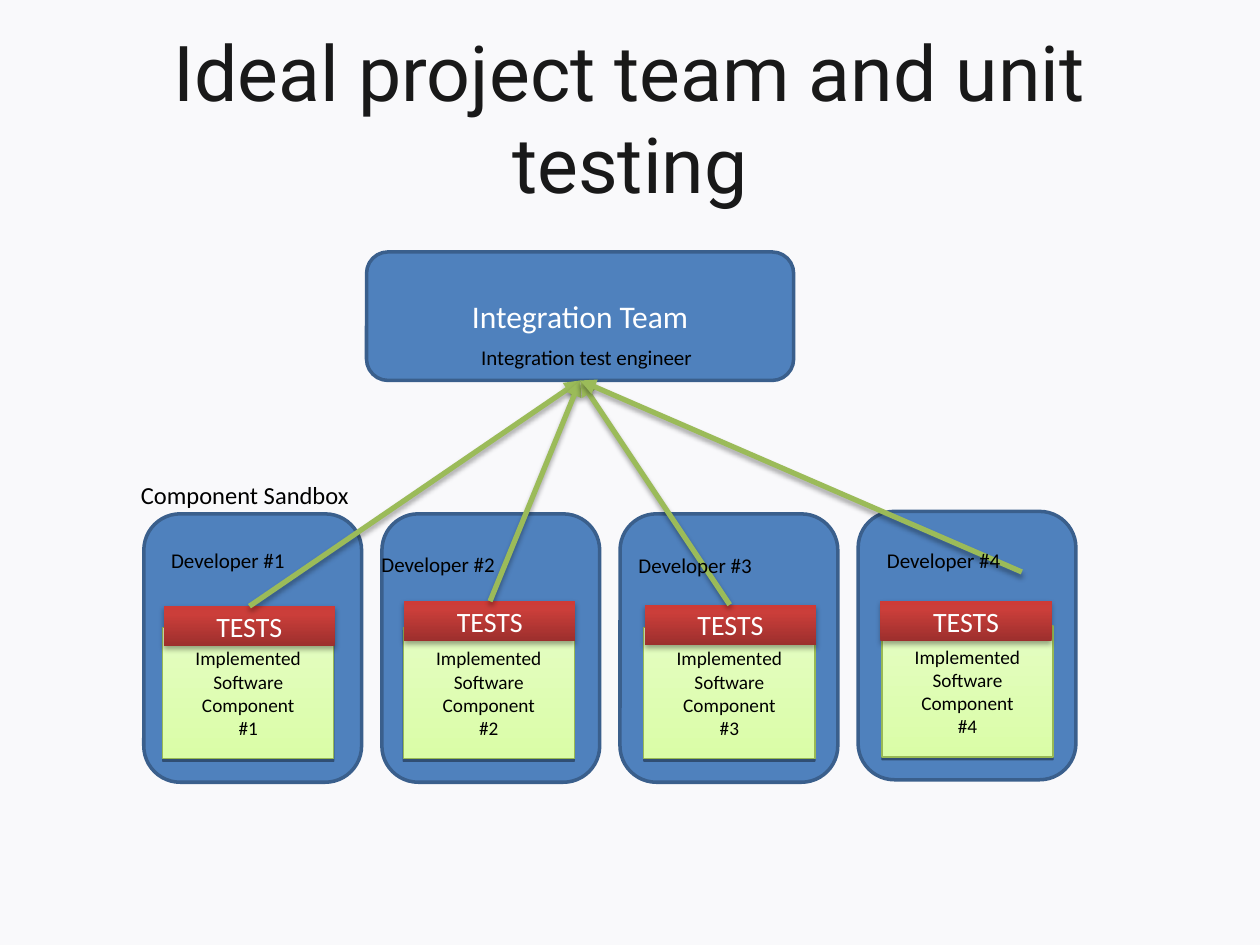
from dataclasses import dataclass

from lxml.etree import SubElement
from pptx import Presentation
from pptx.dml.color import RGBColor as Rgb
from pptx.enum.shapes import MSO_CONNECTOR as Link, MSO_SHAPE as Kind
from pptx.enum.text import MSO_ANCHOR as Anchor, MSO_AUTO_SIZE as Fit, PP_ALIGN as Align
from pptx.oxml.ns import qn
from pptx.util import Cm, Pt


@dataclass(frozen=True)
class Theme:
    back: str = "F9F9FB"
    ink: str = "191919"
    black: str = "000000"
    white: str = "FFFFFF"
    blue: str = "4F81BD"
    edge: str = "3A5F8C"
    green: str = "9BBB59"
    rim: str = "98B954"
    lime: tuple = ((0, "DAFDA7"), (100, "E4FDC2"))
    red: tuple = ((0, "9C2F2D"), (80, "CB3E3A"), (100, "CE3B37"))
    head: str = "Roboto"
    body: str = "Calibri"
    title: int = 44
    team: int = 18
    tests: int = 16
    area: int = 14
    label: int = 12
    card: int = 11


T = Theme()
SOFT = (38, 0, 1.6)  # shadow: opacity %, blur pt, distance pt
DEEP = (35, 3.1, 1.8)


def cms(*nums):
    return [Cm(n) for n in nums]


def write(frame, lines, size, color, align=Align.CENTER, face=T.body):
    frame.word_wrap = True
    frame.text = "\n".join(lines)
    for para in frame.paragraphs:
        para.alignment = align
        para.font.name = face
        para.font.size = Pt(size)
        para.font.color.rgb = Rgb.from_string(color)


def shade(item, look):
    """Give a shape or connector a drop shadow; its line must be set first."""
    alpha, blur, dist = look
    props = item._element.spPr
    effects = props.find(qn("a:effectLst"))
    if effects is None:
        effects = SubElement(props, qn("a:effectLst"))
    drop = SubElement(effects, qn("a:outerShdw"), blurRad=str(Pt(blur)),
                      dist=str(Pt(dist)), dir="5400000", rotWithShape="0")
    tint = SubElement(drop, qn("a:srgbClr"), val=T.black)
    SubElement(tint, qn("a:alpha"), val=str(alpha * 1000))


def blend(shape, stops):
    """Fill a shape with a gradient that runs from bottom to top."""
    shape.fill.gradient()
    shape.fill.gradient_angle = 90
    track = shape._element.spPr.find(".//" + qn("a:gsLst"))
    track.clear()
    for place, color in stops:
        stop = SubElement(track, qn("a:gs"), pos=str(place * 1000))
        SubElement(stop, qn("a:srgbClr"), val=color)


def block(slide, kind, box, fill, line=None, width=0.75, look=None):
    shape = slide.shapes.add_shape(kind, *cms(*box))
    if isinstance(fill, str):
        shape.fill.solid()
        shape.fill.fore_color.rgb = Rgb.from_string(fill)
    else:
        blend(shape, fill)
    if line:
        shape.line.color.rgb = Rgb.from_string(line)
        shape.line.width = Pt(width)
    else:
        shape.line.fill.background()
    shape.shadow.inherit = False
    if look:
        shade(shape, look)
    shape.text_frame.vertical_anchor = Anchor.MIDDLE
    return shape


def label(slide, box, text, size):
    frame = slide.shapes.add_textbox(*cms(*box)).text_frame
    write(frame, [text], size, T.black, Align.LEFT)
    frame.auto_size = Fit.SHAPE_TO_FIT_TEXT


def arrow(slide, start, end):
    line = slide.shapes.add_connector(Link.STRAIGHT, *cms(*start, *end))
    line.line.color.rgb = Rgb.from_string(T.green)
    line.line.width = Pt(3)
    SubElement(line._element.spPr.find(qn("a:ln")), qn("a:tailEnd"), type="triangle")
    shade(line, DEEP)


def heading(slide, box, text):
    title = slide.shapes.title
    title.left, title.top, title.width, title.height = cms(*box)
    frame = title.text_frame
    write(frame, [text], T.title, T.ink, face=T.head)
    frame.vertical_anchor = Anchor.MIDDLE
    frame.auto_size = Fit.NONE


def team(slide, box):
    """Draw the team block and return the point where arrows meet it."""
    left, top, wide, high = box
    shape = block(slide, Kind.ROUNDED_RECTANGLE, box, T.blue, T.edge, 2)
    write(shape.text_frame, ["Integration Team"], T.team, T.white)
    return left + wide / 2, top + high


def sandbox(slide, box, num, card, tests):
    """Draw one developer's block; card and tests are offsets in the box."""
    left, top = box[:2]
    block(slide, Kind.ROUNDED_RECTANGLE, box, T.blue, T.edge, 2)
    part = block(slide, Kind.RECTANGLE, (left + card[0], top + card[1], 3.45, 2.64),
                 T.lime, T.rim, look=SOFT)
    write(part.text_frame, ["Implemented", "Software Component", f"#{num}"],
          T.card, T.black)
    strip = block(slide, Kind.RECTANGLE, (left + tests[0], top + tests[1], 3.45, 0.81),
                  T.red, look=DEEP)
    write(strip.text_frame, ["TESTS"], T.tests, T.white)


def main():
    deck = Presentation()
    deck.slide_width, deck.slide_height = cms(25.4, 19.05)
    slide = deck.slides.add_slide(deck.slide_layouts[5])
    slide.background.fill.solid()
    slide.background.fill.fore_color.rgb = Rgb.from_string(T.back)

    heading(slide, (1.27, 0.76, 22.86, 3.18), "Ideal project team and unit testing")
    hub = (7.39, 5.08, 8.61, 2.59)
    goal = team(slide, hub)

    # top of box, then offsets in it: card, tests, arrow start, name
    rows = [
        (10.36, (0.38, 2.29), (0.4, 1.86), (2.13, 1.86), (0.3, 0.56)),
        (10.36, (0.43, 2.29), (0.45, 1.76), (2.18, 1.76), (-0.26, 0.64)),
        (10.36, (0.48, 2.29), (0.5, 1.83), (2.21, 1.83), (0.12, 0.66)),
        (10.31, (0.48, 2.31), (0.45, 1.81), (3.3, 1.22), (0.33, 0.61)),
    ]
    lefts = [2.9 + 4.8 * i for i in range(len(rows))]
    for num, (left, (top, card, tests, _, _)) in enumerate(zip(lefts, rows), 1):
        sandbox(slide, (left, top, 4.39, 5.41), num, card, tests)
    for left, (top, _, _, tip, _) in zip(lefts, rows):
        arrow(slide, (left + tip[0], top + tip[1]), goal)
    for num, (left, (top, _, _, _, name)) in enumerate(zip(lefts, rows), 1):
        label(slide, (left + name[0], top + name[1], 4.37, 0.76),
              f"Developer #{num}", T.label)

    label(slide, (hub[0] + 2.06, hub[1] + 1.75, 5.89, 0.76),
          "Integration test engineer", T.label)
    label(slide, (lefts[0] - 0.31, rows[0][0] - 0.81, 7.21, 0.86),
          "Component Sandbox", T.area)
    deck.save("out.pptx")


if __name__ == "__main__":
    main()
